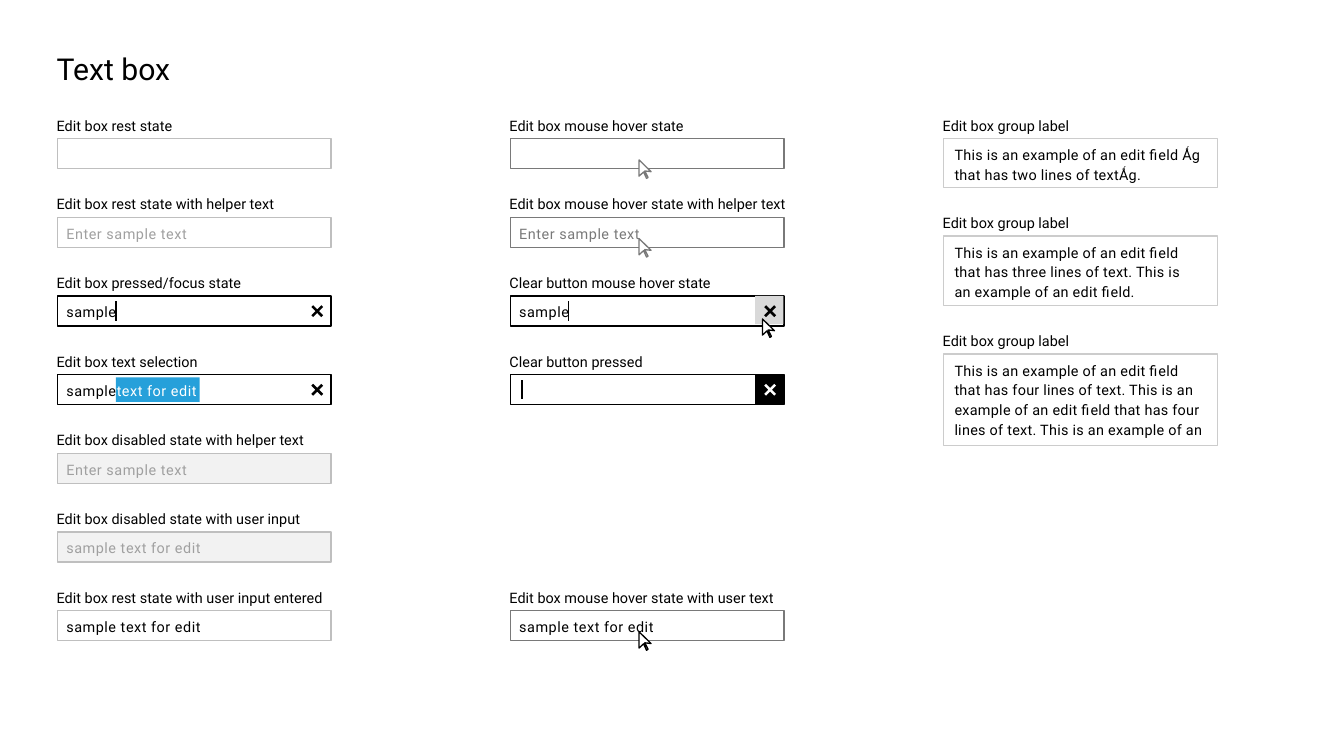
from lxml.etree import SubElement as SubEl
from pptx import Presentation as Deck
from pptx.dml.color import RGBColor as RGB
from pptx.enum.shapes import MSO_CONNECTOR as Link, MSO_SHAPE as Kind
from pptx.enum.text import MSO_ANCHOR as Anchor, MSO_AUTO_SIZE as Auto, PP_ALIGN as Align
from pptx.oxml.ns import qn
from pptx.util import Pt

BLACK = RGB(0x00, 0x00, 0x00)
WHITE = RGB(0xFF, 0xFF, 0xFF)
REST = RGB(0xBF, 0xBF, 0xBF)
HOVER = RGB(0x79, 0x79, 0x79)
HINT = RGB(0xA0, 0xA0, 0xA0)
PALE = RGB(0xF2, 0xF2, 0xF2)
PATCH = RGB(0xD9, 0xD9, 0xD9)
GROUP = RGB(0xCC, 0xCC, 0xCC)
BLUE = RGB(0x26, 0xA0, 0xDA)

FACE = "Roboto"
TOP, PITCH = 105.8, 60
WIDE, HIGH = 208.8, 23
CARET = 44.6


def write(frame, text, size=11, color=BLACK, space=None):
    frame.word_wrap = True
    frame.vertical_anchor = Anchor.TOP
    para = frame.paragraphs[0]
    para.alignment = Align.LEFT
    run = para.add_run()
    run.text = text
    run.font.name = FACE
    run.font.size = Pt(size)
    run.font.color.rgb = color
    if space:
        para.line_spacing = Pt(15)
        run._r.get_or_add_rPr().set("spc", str(round(space * 100)))


def add_text(slide, box, text, color=BLACK, space=None):
    item = slide.shapes.add_textbox(*map(Pt, box))
    write(item.text_frame, text, color=color, space=space)


def paint(shape, fill, edge=None):
    shape.shadow.inherit = False
    shape.fill.solid()
    shape.fill.fore_color.rgb = fill
    if edge is None:
        shape.line.fill.background()
    else:
        shape.line.color.rgb = edge
        shape.line.width = Pt(1)


def add_rect(slide, box, fill, edge=None):
    paint(slide.shapes.add_shape(Kind.RECTANGLE, *map(Pt, box)), fill, edge)


def add_path(slide, x, y, dots, fill, edge=None):
    spots = [(Pt(x + dx), Pt(y + dy)) for dx, dy in dots]
    pen = slide.shapes.build_freeform(*spots[0])
    pen.add_line_segments(spots[1:], close=True)
    shape = pen.convert_to_shape()
    paint(shape, fill, edge)
    return shape


def add_cross(slide, box, color=BLACK):
    x, y = box[:2]
    a, b, c = 4.4, 6.4, 10.8
    dots = [(a, 0), (b, 0), (b, a), (c, a), (c, b), (b, b),
            (b, c), (a, c), (a, b), (0, b), (0, a), (a, a)]
    add_path(slide, x + 192.8, y + 6.2, dots, color).rotation = 45


def add_mouse(slide, x, y, edge):
    dots = [(0, 0), (9.2, 9), (4.4, 8.4), (6.9, 13.4),
            (5.7, 14.1), (3.5, 9.2), (0, 12.4)]
    add_path(slide, x, y, dots, WHITE, edge)


def add_caret(slide, box, shift=CARET):
    x, y = box[0] + shift, box[1]
    line = slide.shapes.add_connector(
        Link.STRAIGHT, Pt(x), Pt(y + 4.2), Pt(x), Pt(y + 18.8))
    line.line.color.rgb = BLACK
    line.line.width = Pt(1)
    SubEl(line._element.spPr, qn("a:effectLst"))


def add_field(slide, box, label, span, edge, fill=WHITE,
              text=None, color=BLACK, room=143.3):
    x, y = box[:2]
    add_text(slide, (x - 7.7, y - 20.2, span, 21), label)
    add_rect(slide, box, fill, edge)
    if text:
        add_text(slide, (x - 0.3, y + 0.4, room, 22), text, color, 0.4)


def row_box(left, row):
    return left, TOP + PITCH * row, WIDE, HIGH


def add_title(slide, box):
    title = slide.shapes.title
    title.left, title.top, title.width, title.height = map(Pt, box)
    title.text_frame.auto_size = Auto.NONE
    write(title.text_frame, "Text box", size=23)


def add_states(slide, left):
    hint, entry = "Enter sample text", "sample text for edit"
    rows = [
        ("Edit box rest state", 107.3, REST, WHITE, None, BLACK),
        ("Edit box rest state with helper text", 203.8, REST, WHITE, hint, HINT),
        ("Edit box pressed/focus state", 203.8, BLACK, WHITE, "sample", BLACK),
        ("Edit box text selection", 203.8, BLACK, WHITE, "sample", BLACK),
        ("Edit box disabled state with helper text", 216, REST, PALE, hint, HINT),
        ("Edit box disabled state with user input", 216, REST, PALE, entry, HINT),
        ("Edit box rest state with user input entered", 226, REST, WHITE, entry, BLACK),
    ]
    for row, (label, span, edge, fill, text, color) in enumerate(rows):
        room = 79.2 if text == "sample" else 143.3
        add_field(slide, row_box(left, row), label, span, edge, fill,
                  text, color, room)
    focus, pick = row_box(left, 2), row_box(left, 3)
    add_caret(slide, focus)
    add_cross(slide, focus)
    add_cross(slide, pick)
    x, y = pick[:2]
    add_rect(slide, (x + CARET, y + 2.2, 64, 18.7), BLUE)
    add_text(slide, (x + 38.2, y + 0.4, 80, 22), "text for edit", WHITE, 0.4)


def add_hovers(slide, left):
    rows = [
        (0, "Edit box mouse hover state", 170.6, None, BLACK, HOVER),
        (1, "Edit box mouse hover state with helper text", 257,
         "Enter sample text", HOVER, HOVER),
        (6, "Edit box mouse hover state with user text", 257,
         "sample text for edit", BLACK, BLACK),
    ]
    for row, label, span, text, color, edge in rows:
        box = row_box(left, row)
        add_field(slide, box, label, span, HOVER, text=text, color=color)
        add_mouse(slide, left + 98.2, box[1] + 16.2, edge)

    box = row_box(left, 2)
    add_field(slide, box, "Clear button mouse hover state", 203.8, BLACK,
              text="sample", room=79.2)
    add_caret(slide, box)
    add_rect(slide, (left + 186.8, box[1], 21.6, 21.6), PATCH)
    add_cross(slide, box)
    add_mouse(slide, left + 192.3, box[1] + 17.5, BLACK)

    box = row_box(left, 3)
    add_field(slide, box, "Clear button pressed", 203.8, BLACK)
    add_caret(slide, box, 8.9)
    add_rect(slide, (left + 186.8, box[1], 21.6, HIGH), BLACK)
    add_cross(slide, box, WHITE)


def add_groups(slide, left):
    four = "This is an example of an edit field that has four lines of text. "
    rows = [
        (TOP, 37.4, 213.8,
         "This is an example of an edit field Ǻg that has two lines of textǺg."),
        (180, 53.3, 199.4,
         "This is an example of an edit field that has three lines of text. "
         "This is an example of an edit field."),
        (270, 69.8, 206.6, four * 2 + "This is an example of an"),
    ]
    for y, high, room, text in rows:
        add_field(slide, (left, y, WIDE, high), "Edit box group label", 139, GROUP)
        add_text(slide, (left + 1.3, y + 0.7, room, high), text, space=0.2)


def main():
    deck = Deck()
    deck.slide_width, deck.slide_height = Pt(1025.28), Pt(576)
    slide = deck.slides.add_slide(deck.slide_layouts[5])
    add_title(slide, (36, 34.6, 175, 35.3))
    add_states(slide, 43.8)
    add_hovers(slide, 389.3)
    add_groups(slide, 719.8)
    deck.save("out.pptx")


if __name__ == "__main__":
    main()
